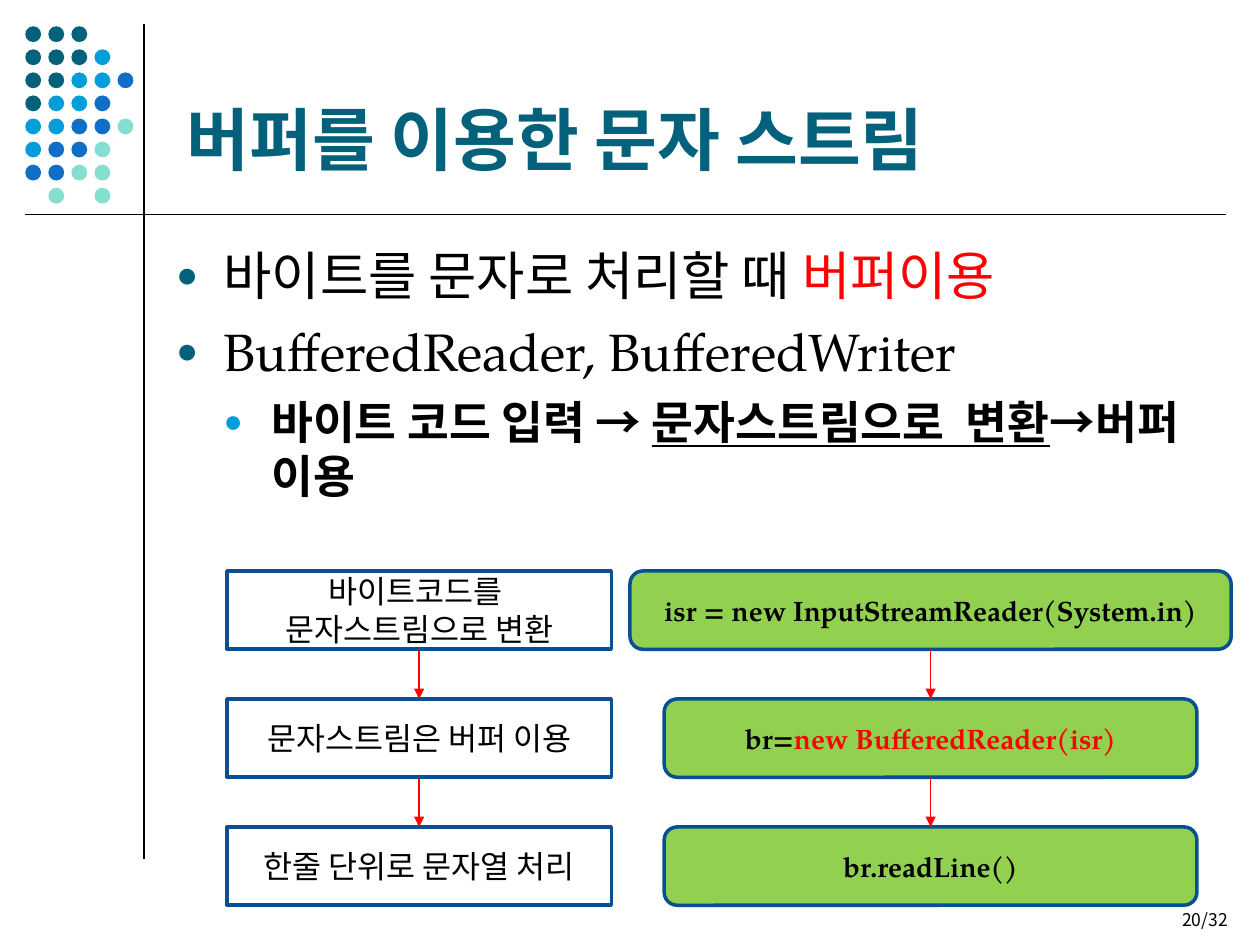
from lxml import etree
from pptx import Presentation
from pptx.dml.color import RGBColor
from pptx.enum.shapes import MSO_CONNECTOR, MSO_SHAPE
from pptx.enum.text import MSO_ANCHOR, PP_ALIGN
from pptx.oxml.ns import qn
from pptx.util import Cm, Pt

RECT, ROUNDED, OVAL = MSO_SHAPE.RECTANGLE, MSO_SHAPE.ROUNDED_RECTANGLE, MSO_SHAPE.OVAL
STRAIGHT = MSO_CONNECTOR.STRAIGHT
MIDDLE, BOTTOM = MSO_ANCHOR.MIDDLE, MSO_ANCHOR.BOTTOM
LEFT, CENTER, RIGHT = PP_ALIGN.LEFT, PP_ALIGN.CENTER, PP_ALIGN.RIGHT

SERIF, KOREAN, SYMBOL = "TeX Gyre Pagella", "Noto Sans CJK KR", "Arial"
TEAL, SKY, BLUE, MINT = "04617B", "009DD9", "0F6FC6", "85DFD0"
BLACK, WHITE, RED, GREEN, NAVY = "000000", "FFFFFF", "FF0000", "92D050", "085091"

# Content: a run is (text, options)
TITLE = "버퍼를 이용한 문자 스트림"
PAGE = "20/32"
BULLETS = [  # level, size, space before, bullet colour, runs
    (0, 30, 0, TEAL, [("바이트를 문자로 처리할 때 ", {}), ("버퍼이용", {"color": RED})]),
    (0, 30, 7.5, TEAL, [("BufferedReader, BufferedWriter", {})]),
    (1, 26, 6.5, SKY, [
        ("바이트 코드 입력 ", {"bold": True}),
        ("→ ", {"bold": True, "face": SYMBOL}),
        ("문자스트림으로  변환", {"bold": True, "underline": True}),
        ("→", {"bold": True, "face": SYMBOL}),
        ("버퍼 이용", {"bold": True}),
    ]),
]
STEPS = [  # width, paragraphs of runs
    (7.75, [[("바이트코드를 ", {})], [("문자스트림으로 변환", {})]]),
    (7.75, [[("문자스트림은 버퍼 이용", {})]]),
    (7.75, [[("한줄 단위로 문자열 처리", {})]]),
]
CODE = [
    (12.12, [[("isr = new InputStreamReader(System.in)", {"bold": True})]]),
    (10.74, [[("br=", {"bold": True}),
              ("new BufferedReader(isr)", {"bold": True, "color": RED})]]),
    (10.74, [[("br.readLine()", {"bold": True})]]),
]
FLOWS = [  # centre x, shape, fill, text size, boxes
    (18.76, ROUNDED, GREEN, 16, CODE),
    (8.45, RECT, WHITE, 18, STEPS),
]
DOT_COLORS = {"T": TEAL, "S": SKY, "B": BLUE, "M": MINT}
DOT_ROWS = ["TTT", "TTTS", "TTSSB", "TSSB", "SSBBM", "SBBM", "BBMM", " M M"]


def rgb(value):
    return RGBColor.from_string(value)


def write_runs(paragraph, runs, size):
    for text, options in runs:
        run = paragraph.add_run()
        run.text = text
        font = run.font
        font.size = Pt(size)
        font.name = options.get("face", SERIF)
        font.bold = options.get("bold", False)
        font.underline = options.get("underline", False)
        font.color.rgb = rgb(options.get("color", BLACK))
        east_asian = etree.SubElement(run._r.rPr, qn("a:ea"))
        east_asian.set("typeface", KOREAN)


def add_bullet(paragraph, level, color):
    props = paragraph._p.get_or_add_pPr()
    props.set("marL", str(Cm(0.96 * (level + 1))))
    props.set("indent", str(-Cm(0.96)))
    bullet_color = etree.SubElement(props, qn("a:buClr"))
    etree.SubElement(bullet_color, qn("a:srgbClr")).set("val", color)
    etree.SubElement(props, qn("a:buSzPct")).set("val", "70000")
    etree.SubElement(props, qn("a:buFont")).set("typeface", SYMBOL)
    etree.SubElement(props, qn("a:buChar")).set("char", "●")


def add_line(x1, y1, x2, y2, color=BLACK, arrow=False):
    line = slide.shapes.add_connector(STRAIGHT, Cm(x1), Cm(y1), Cm(x2), Cm(y2))
    line.line.color.rgb = rgb(color)
    line.line.width = Pt(0.75)
    if arrow:
        etree.SubElement(line.line._get_or_add_ln(), qn("a:tailEnd")).set("type", "triangle")
    etree.SubElement(line._element.spPr, qn("a:effectLst"))
    return line


def add_shape(kind, left, top, width, height, fill):
    shape = slide.shapes.add_shape(kind, Cm(left), Cm(top), Cm(width), Cm(height))
    shape.shadow.inherit = False
    shape.fill.solid()
    shape.fill.fore_color.rgb = rgb(fill)
    shape.line.fill.background()
    return shape


def add_textbox(left, top, width, height):
    frame = slide.shapes.add_textbox(Cm(left), Cm(top), Cm(width), Cm(height)).text_frame
    frame.word_wrap = True
    return frame


prs = Presentation()
prs.slide_width, prs.slide_height = Cm(25.4), Cm(19.05)
slide = prs.slides.add_slide(prs.slide_layouts[5])

# Rules and dot pattern
add_line(2.9, 0.48, 2.9, 17.32)
add_line(0.51, 4.32, 24.71, 4.32)
DOT_PITCH, DOT_SIZE = 0.465, 0.32
for row, codes in enumerate(DOT_ROWS):
    for column, code in enumerate(codes):
        if code in DOT_COLORS:
            add_shape(OVAL, 0.51 + column * DOT_PITCH, 0.53 + row * DOT_PITCH,
                      DOT_SIZE, DOT_SIZE, DOT_COLORS[code])

# Title
title = slide.shapes.title
title.left, title.top, title.width, title.height = Cm(3.51), Cm(0.53), Cm(20.96), Cm(3.2)
title.text_frame.vertical_anchor = BOTTOM
heading = title.text_frame.paragraphs[0]
heading.alignment = LEFT
write_runs(heading, [(TITLE, {"face": "Noto Sans", "bold": True, "color": TEAL})], 39)

# Bullets
body = add_textbox(3.3, 4.78, 20.83, 12.24)
for index, (level, size, before, color, runs) in enumerate(BULLETS):
    paragraph = body.add_paragraph() if index else body.paragraphs[0]
    paragraph.level = level
    paragraph.space_before = Pt(before)
    add_bullet(paragraph, level, color)
    write_runs(paragraph, runs, size)

# Two flows of boxes joined by arrows
FLOW_TOP, FLOW_PITCH, BOX_HEIGHT = 11.51, 2.58, 1.58
for center, kind, fill, size, boxes in FLOWS:
    previous = None
    for step, (width, paragraphs) in enumerate(boxes):
        top = FLOW_TOP + step * FLOW_PITCH
        box = add_shape(kind, center - width / 2, top, width, BOX_HEIGHT, fill)
        box.line.color.rgb = rgb(NAVY)
        box.line.width = Pt(2)
        frame = box.text_frame
        frame.word_wrap = True
        frame.vertical_anchor = MIDDLE
        for index, runs in enumerate(paragraphs):
            paragraph = frame.add_paragraph() if index else frame.paragraphs[0]
            paragraph.alignment = CENTER
            write_runs(paragraph, runs, size)
        if previous:
            arrow = add_line(center, top - FLOW_PITCH + BOX_HEIGHT, center, top, RED, True)
            arrow.begin_connect(previous, 2)
            arrow.end_connect(box, 0)
        previous = box

# Page number
page = add_textbox(19.08, 18.19, 5.92, 0.8).paragraphs[0]
page.alignment = RIGHT
write_runs(page, [(PAGE, {"face": KOREAN})], 10)

prs.save("out.pptx")
